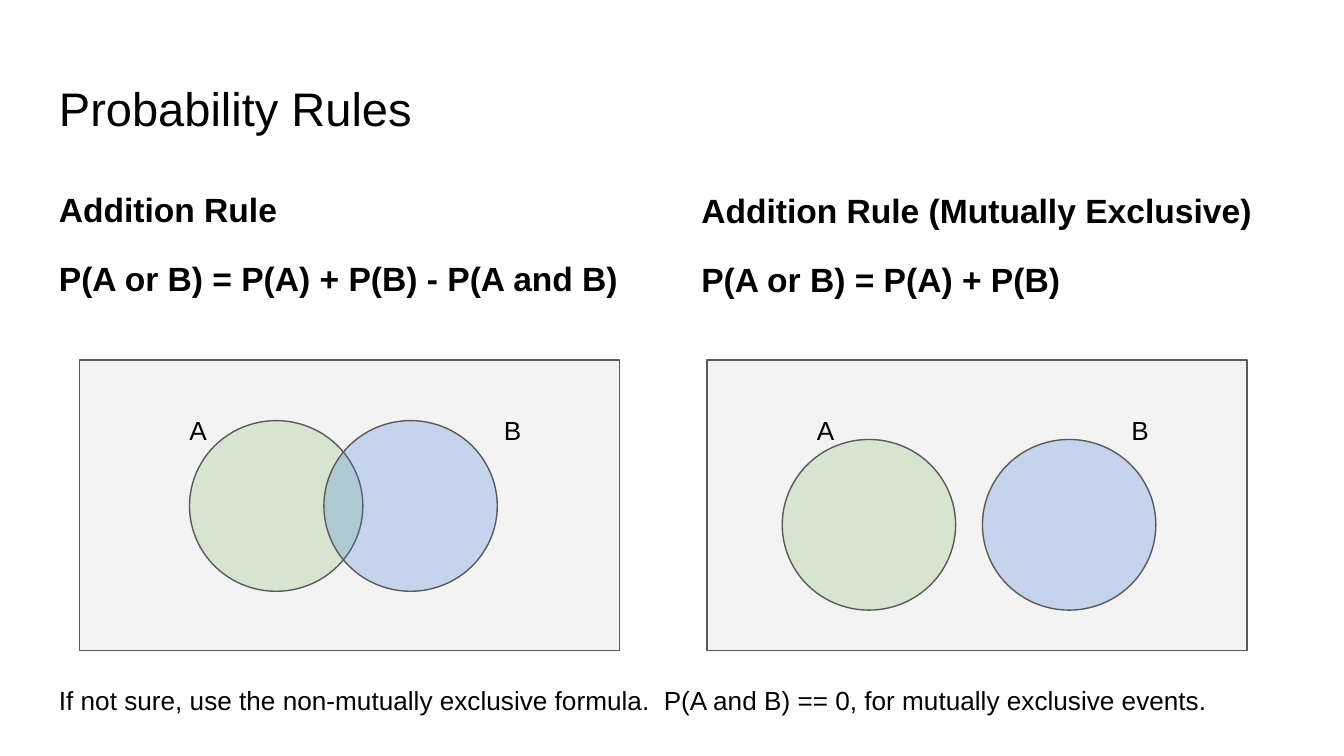
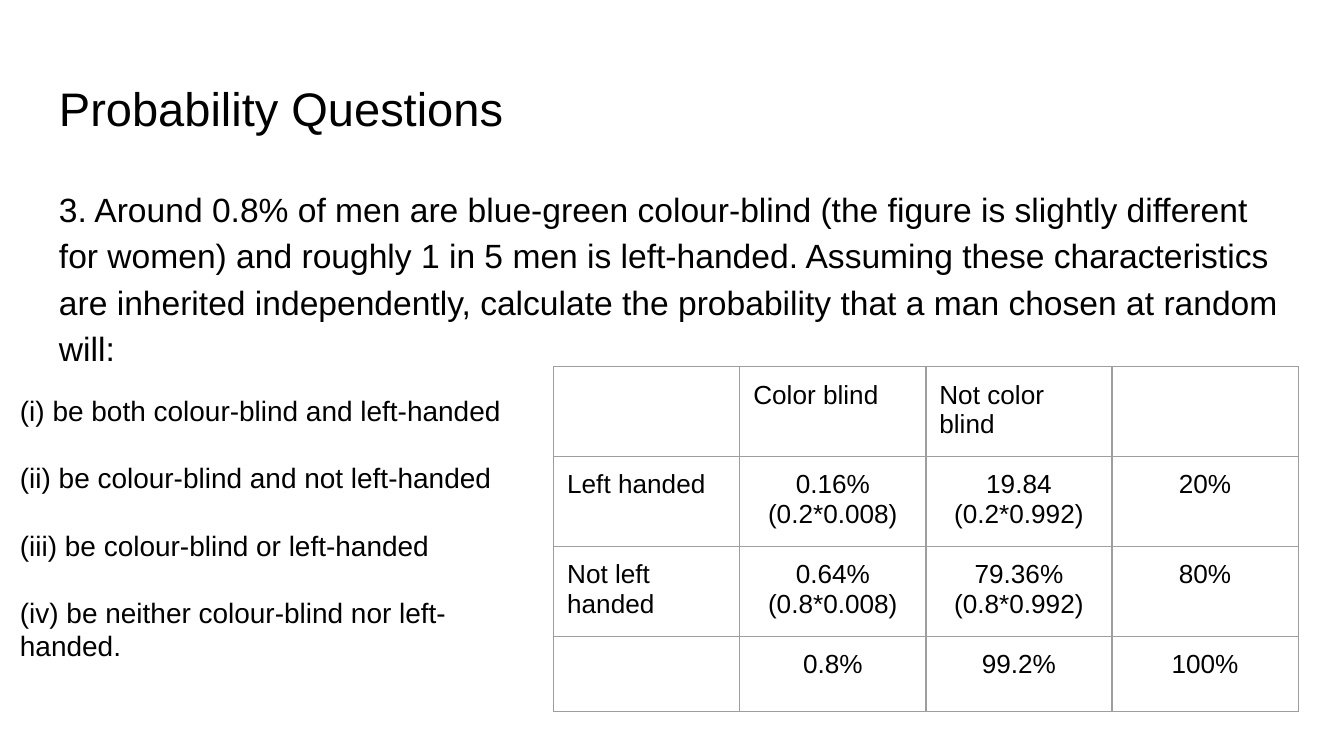
"""Build two slides on probability: the addition rules and a worked question."""
from dataclasses import dataclass

from lxml.etree import SubElement
from pptx import Presentation
from pptx.dml.color import RGBColor
from pptx.enum.shapes import MSO_SHAPE as Shape
from pptx.enum.text import MSO_ANCHOR as Anchor, PP_ALIGN as Align
from pptx.oxml.ns import qn
from pptx.util import Inches, Pt


@dataclass(frozen=True)
class Theme:
    font: str = "Arial"
    text: str = "000000"
    panel: str = "F3F3F3"
    outline: str = "595959"
    border: str = "9E9E9E"
    event_a: tuple = ("B6D7A8", 48)
    event_b: tuple = ("3C78D8", 25)
    line: float = 0.75
    title_size: float = 25.2
    body_size: float = 18
    list_size: float = 15
    small_size: float = 14
    inset: float = 0.1


THEME = Theme()
LEFT = 0.34
CONTENT_WIDTH = 9.32
BODY_TOP = 1.26

RULES_TITLE = "Probability Rules"
RULES = [
    {"lines": ["Addition Rule", "P(A or B) = P(A) + P(B) - P(A and B)"],
     "text_at": (LEFT, BODY_TOP), "panel_left": 0.59,
     "circles": (0.82, 1.82), "circle_top": 3.13},
    {"lines": ["Addition Rule (Mutually Exclusive)", "P(A or B) = P(A) + P(B)"],
     "text_at": (5.12, 1.27), "panel_left": 5.26,
     "circles": (0.56, 2.05), "circle_top": 3.27},
]
EVENT_LABELS = [("A", 0.72), ("B", 3.06)]
RULES_NOTE = ("If not sure, use the non-mutually exclusive formula.  "
              "P(A and B) == 0, for mutually exclusive events.")

QUESTIONS_TITLE = "Probability Questions"
QUESTION = ("3. Around 0.8% of men are blue-green colour-blind (the figure is slightly "
            "different for women) and roughly 1 in 5 men is left-handed. Assuming these "
            "characteristics are inherited independently, calculate the probability that "
            "a man chosen at random will:")
QUESTION_PARTS = [
    "(i) be both colour-blind and left-handed",
    "(ii) be colour-blind and not left-handed",
    "(iii) be colour-blind or left-handed",
    "(iv) be neither colour-blind nor left-handed.",
]
PROBABILITIES = [
    ["", "Color blind", "Not color blind", ""],
    ["Left handed", "0.16%\n(0.2*0.008)", "19.84\n(0.2*0.992)", "20%"],
    ["Not left handed", "0.64%\n(0.8*0.008)", "79.36%\n(0.8*0.992)", "80%"],
    ["", "0.8%", "99.2%", "100%"],
]
ROW_HEIGHTS = [0.56, 0.67, 0.67, 0.56]
TABLE_WIDTH = 5.54


def colour(value):
    return RGBColor.from_string(value)


def style(paragraph, size, bold=False):
    font = paragraph.font
    font.name, font.size, font.bold = THEME.font, Pt(size), bold
    font.color.rgb = colour(THEME.text)


def add_text(slide, box, lines, size, bold=False, gap=0, spacing=1.0, anchor=Anchor.TOP):
    frame = slide.shapes.add_textbox(*map(Inches, box)).text_frame
    frame.word_wrap = True
    frame.vertical_anchor = anchor
    frame.margin_left = frame.margin_right = Inches(THEME.inset)
    frame.margin_top = frame.margin_bottom = Inches(THEME.inset)
    for index, line in enumerate(lines):
        paragraph = frame.add_paragraph() if index else frame.paragraphs[0]
        paragraph.text = line
        paragraph.line_spacing = spacing
        paragraph.space_before = Pt(gap if index else 0)
        style(paragraph, size, bold)


def add_outlined(slide, kind, box, fill, opacity=100):
    shape = slide.shapes.add_shape(kind, *map(Inches, box))
    shape.shadow.inherit = False
    shape.fill.solid()
    shape.fill.fore_color.rgb = colour(fill)
    shape.line.color.rgb = colour(THEME.outline)
    shape.line.width = Pt(THEME.line)
    if opacity < 100:
        solid = shape.fill._xPr.find(qn("a:solidFill"))
        SubElement(solid[0], qn("a:alpha"), val=str(opacity * 1000))


def add_venn(slide, rule):
    panel_left = rule["panel_left"]
    add_outlined(slide, Shape.RECTANGLE, (panel_left, 2.68, 4.02, 2.16), THEME.panel)
    for offset, (fill, opacity) in zip(rule["circles"], (THEME.event_a, THEME.event_b)):
        box = (panel_left + offset, rule["circle_top"], 1.29, 1.27)
        add_outlined(slide, Shape.OVAL, box, fill, opacity)
    for label, offset in EVENT_LABELS:
        add_text(slide, (panel_left + offset, 2.98, 0.28, 0.44), [label], THEME.small_size)


def add_borders(cell):
    properties = cell._tc.get_or_add_tcPr()
    for side in ("lnL", "lnR", "lnT", "lnB"):
        line = SubElement(properties, qn(f"a:{side}"), w=str(Pt(THEME.line)))
        fill = SubElement(line, qn("a:solidFill"))
        SubElement(fill, qn("a:srgbClr"), val=THEME.border)


def add_probability_table(slide):
    columns = len(PROBABILITIES[0])
    box = (4.12, 2.73, TABLE_WIDTH, sum(ROW_HEIGHTS))
    table = slide.shapes.add_table(len(PROBABILITIES), columns, *map(Inches, box)).table
    table.first_row = table.horz_banding = False
    for row_index, (values, height) in enumerate(zip(PROBABILITIES, ROW_HEIGHTS)):
        table.rows[row_index].height = Inches(height)
        for column_index, value in enumerate(values):
            cell = table.cell(row_index, column_index)
            cell.margin_left = cell.margin_right = Inches(THEME.inset)
            cell.margin_top = cell.margin_bottom = Inches(THEME.inset)
            add_borders(cell)
            cell.fill.background()
            paragraph = cell.text_frame.paragraphs[0]
            paragraph.text = value
            paragraph.alignment = Align.CENTER if row_index and column_index else Align.LEFT
            style(paragraph, THEME.small_size)


def add_titled_slide(presentation, title):
    slide = presentation.slides.add_slide(presentation.slide_layouts[6])
    add_text(slide, (LEFT, 0.49, CONTENT_WIDTH, 0.63), [title], THEME.title_size,
             anchor=Anchor.MIDDLE)
    return slide


def build_rules(presentation):
    slide = add_titled_slide(presentation, RULES_TITLE)
    for rule in RULES:
        add_text(slide, (*rule["text_at"], 4.66, 4.04), rule["lines"], THEME.body_size,
                 bold=True, gap=12, spacing=1.15)
        add_venn(slide, rule)
    add_text(slide, (LEFT, 4.99, 9.44, 0.44), [RULES_NOTE], THEME.small_size)


def build_questions(presentation):
    slide = add_titled_slide(presentation, QUESTIONS_TITLE)
    add_text(slide, (LEFT, BODY_TOP, CONTENT_WIDTH, 1.66), [QUESTION], THEME.body_size,
             spacing=1.15)
    add_probability_table(slide)
    add_text(slide, (0.05, 2.83, 3.96, 2.22), QUESTION_PARTS, THEME.list_size, gap=18)


def main():
    presentation = Presentation()
    presentation.slide_width = Inches(10)
    presentation.slide_height = presentation.slide_width * 9 // 16
    build_rules(presentation)
    build_questions(presentation)
    presentation.save("out.pptx")


if __name__ == "__main__":
    main()
